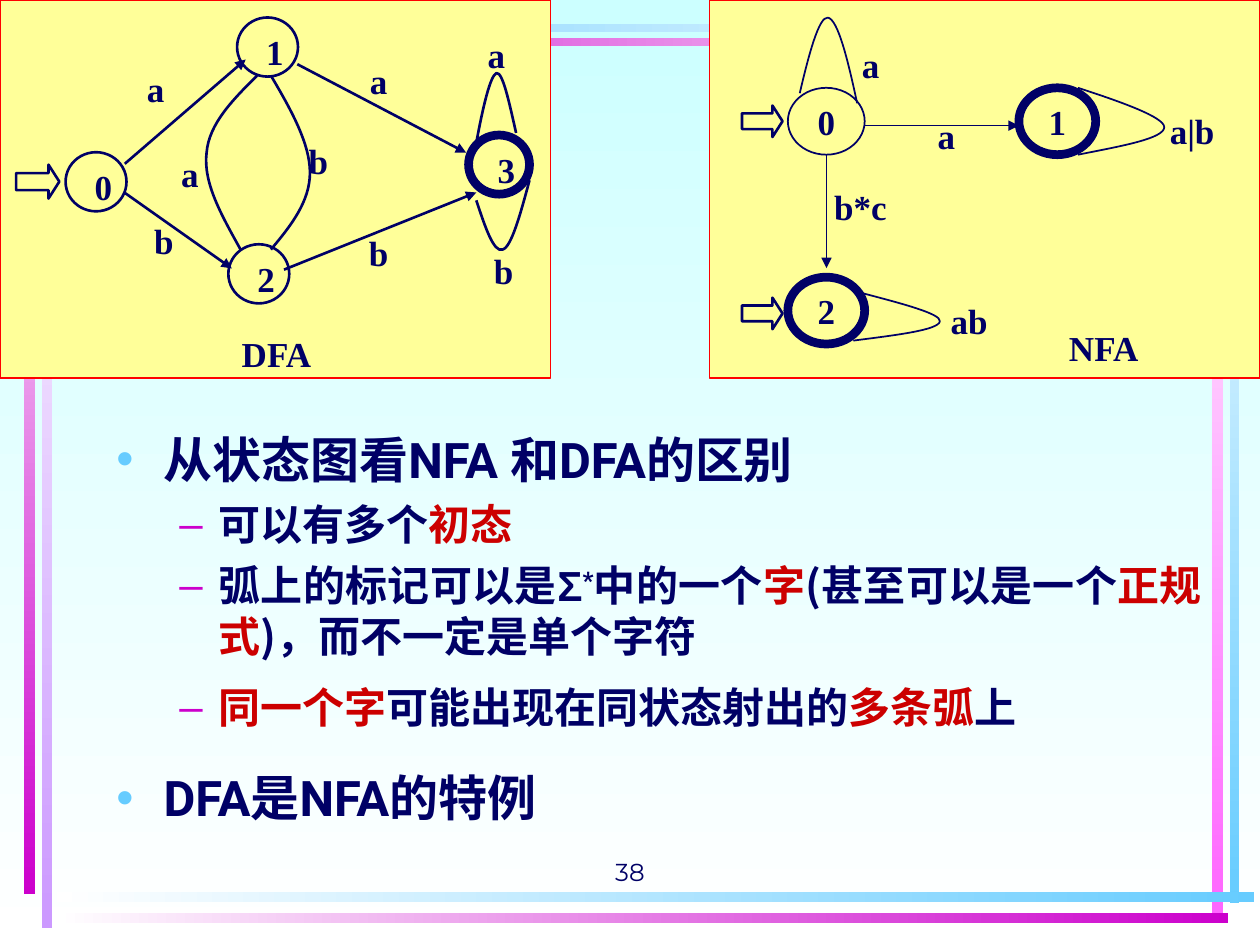
from dataclasses import dataclass

from lxml import etree
from pptx import Presentation
from pptx import util as u
from pptx.dml.color import RGBColor
from pptx.enum import shapes as s
from pptx.enum import text as t
from pptx.oxml.ns import qn

COLORS = {"ink": "000066", "red": "CC0000", "panel": "FFFF99", "border": "FF0000",
          "sky": "66CCFF", "purple": "CC00CC", "lilac": "CC99FF", "pink": "FF66FF",
          "mist": "CCFFFF", "white": "FFFFFF"}
CJK, LATIN, SERIF, SANS = "Noto Sans CJK SC", "Roboto", "Times New Roman", "Arial"
Point = tuple[float, float]


@dataclass
class Bar:
    box: tuple[float, float, float, float]
    start: str
    end: str
    angle: int


@dataclass
class Node:
    name: str
    x: float
    y: float
    final: bool = False


@dataclass
class Label:
    name: str
    x: float
    y: float
    width: float
    height: float


@dataclass
class Diagram:
    left: float
    node_size: Point
    node_inset: Point
    centered: bool
    line_width: float
    nodes: list[Node]
    arrows: list[tuple[Point, Point]]
    curves: list[list[Point]]  # start, then three points for each cubic piece
    labels: list[Label]
    entries: list[tuple[float, float, float, float]]


@dataclass
class Piece:
    words: str
    font: str = CJK
    color: str = "ink"
    raised: bool = False


@dataclass
class Item:
    pieces: list[Piece]
    level: int = 0
    before: float = 7
    spacing: float | None = None


BARS = [
    Bar((24, 20.2, 5.8, 510), "white", "lilac", 270),
    Bar((13.8, 18, 6, 492.7), "white", "purple", 270),
    Bar((702.9, 17.3, 5, 498.5), "white", "sky", 270),
    Bar((692.6, 30.2, 6.2, 491.8), "white", "pink", 270),
    Bar((32.4, 509.8, 684, 5.8), "white", "sky", 0),
    Bar((32.4, 521.8, 669.6, 5.8), "white", "purple", 0),
    Bar((23, 22, 671, 4.3), "purple", "white", 0),
    Bar((6.1, 13.6, 688.3, 5), "sky", "white", 0),
]

DFA = Diagram(
    left=0, node_size=(34.8, 33.8), node_inset=(11.5, 2.7), centered=False, line_width=1.5,
    nodes=[Node("0", 37.5, 87), Node("3", 267.8, 77.2, True),
           Node("1", 135.5, 10), Node("2", 130.5, 139.6)],
    arrows=[((71.3, 93.6), (140.4, 34)), ((169.9, 36.7), (266.4, 87.3)),
            ((71.3, 110.2), (132.5, 153.4)), ((162.3, 154.1), (272.2, 110)),],
    curves=[
        [(146.9, 43.2), (133.2, 56.9), (119.5, 70.6), (118.1, 87.1),
         (115.9, 104.4), (126.7, 123.1), (137.5, 142.6)],
        [(154.8, 43.2), (166.3, 62.6), (177.1, 82.1), (177.1, 98.6),
         (177.1, 115.2), (166.3, 128.9), (154.8, 142.6)],
        [(294.9, 76), (290.9, 58.3), (287.3, 41), (283.7, 41.8),
         (280.1, 43.2), (275.8, 61.9), (272.2, 81.4)],
        [(302.6, 103), (297.4, 122.4), (292.3, 141.1), (287.3, 142.6),
         (282.2, 144.7), (277.2, 129.6), (272.2, 114.5)],
    ],
    labels=[Label(name, x, y, 34.6, 24) for name, x, y in (
        ("a", 71.6, 38.7), ("a", 91.2, 87.1), ("a", 199.1, 33.8), ("a", 266.3, 19.2),
        ("b", 164.7, 79.5), ("b", 76.4, 125.2), ("b", 270.5, 142.5), ("b", 199.1, 132.5))]
    + [Label("DFA", 89.6, 182.9, 136.8, 38.2)],
    entries=[(9.2, 94.1, 24.7, 19.4)],
)

NFA = Diagram(
    left=405.4, node_size=(43.9, 38.2), node_inset=(7.2, 3.6), centered=True, line_width=1,
    nodes=[Node("0", 450.2, 50.2), Node("2", 450.2, 158.4, True), Node("1", 582.2, 50.2, True)],
    arrows=[((493.9, 71.8), (582.2, 71.8)), ((472.3, 88.4), (472.3, 153.2))],
    curves=[
        [(489.8, 59), (484.6, 34.6), (478.8, 10.8), (473, 10.1),
         (468, 9.4), (462.2, 31), (457, 53.3)],
        [(487.6, 194.6), (511.9, 191.5), (536.4, 188.6), (537.1, 183.6),
         (537.8, 179.3), (515.5, 173.5), (493.2, 167.6)],
        [(616, 88.4), (640.8, 83.5), (665.3, 79.2), (665.3, 72.7),
         (665.3, 67), (640.8, 58.3), (616, 50.2)],
    ],
    labels=[Label(name, x, y, 60.5, 38.2) for name, x, y in (
        ("a", 467.2, 17.6), ("a", 510.6, 58.3), ("a|b", 651, 55.4),
        ("b*c", 461.4, 99), ("ab", 523.6, 164.2))]
    + [Label("NFA", 603, 182.6, 55.4, 31.7)],
    entries=[(424, y, 23.2, 18) for y in (60.3, 170.1)],
)

ITEMS = [
    Item([Piece("从状态图看"), Piece("NFA ", LATIN), Piece("和"), Piece("DFA", LATIN),
          Piece("的区别")], before=0),
    Item([Piece("可以有多个"), Piece("初态", color="red")], 1, 6),
    Item([Piece("弧上的标记可以是"), Piece("Σ", SANS), Piece("*", LATIN, raised=True),
          Piece("中的一个"), Piece("字", color="red"), Piece("(甚至可以是一个"),
          Piece("正规式", color="red"), Piece(")，而不一定是单个字符")], 1, 6),
    Item([Piece("同一个字", color="red"), Piece("可能出现在同状态射出的"),
          Piece("多条弧", color="red"), Piece("上")], 1, 12),
    Item([Piece("DFA", LATIN), Piece("是"), Piece("NFA", LATIN), Piece("的特例")], spacing=1.4),
]


def rgb(name: str) -> RGBColor:
    return RGBColor.from_string(COLORS[name])


def pts(*lengths: float) -> list[u.Length]:
    return [u.Pt(length) for length in lengths]


def set_gradient(fill, start: str, end: str, angle: int) -> None:
    fill.gradient()
    fill.gradient_angle = angle
    for stop, name in zip(fill.gradient_stops, (start, end)):
        stop.color.rgb = rgb(name)


def set_outline(shape, width: float, color: str = "ink"):
    """Leave the shape unfilled, with a coloured line and no shadow."""
    shape.shadow.inherit = False
    shape.fill.background()
    shape.line.color.rgb, shape.line.width = rgb(color), u.Pt(width)
    return shape


def write_line(frame, words: str, font: str, size: float, bold: bool, align) -> None:
    line = frame.paragraphs[0]
    line.text, line.alignment = words, align
    line.font.name, line.font.size, line.font.bold = font, u.Pt(size), bold
    line.font.color.rgb = rgb("ink")


def add_bar(slide, bar: Bar) -> None:
    strip = slide.shapes.add_shape(s.MSO_SHAPE.RECTANGLE, *pts(*bar.box))
    strip.shadow.inherit = False
    strip.line.fill.background()
    set_gradient(strip.fill, bar.start, bar.end, bar.angle)


def add_node(slide, node: Node, diagram: Diagram) -> None:
    state = slide.shapes.add_shape(s.MSO_SHAPE.OVAL, *pts(node.x, node.y, *diagram.node_size))
    set_outline(state, 5 if node.final else diagram.line_width)
    frame = state.text_frame
    frame.margin_left, frame.margin_top = pts(*diagram.node_inset)
    if diagram.centered:
        frame.margin_right, frame.margin_bottom = pts(*diagram.node_inset)
        frame.word_wrap, frame.vertical_anchor = False, t.MSO_ANCHOR.MIDDLE
        align = t.PP_ALIGN.CENTER
    else:
        frame.margin_right = frame.margin_bottom = 0
        frame.word_wrap, frame.vertical_anchor = True, t.MSO_ANCHOR.TOP
        align = t.PP_ALIGN.JUSTIFY
    write_line(frame, node.name, SERIF, 20, True, align)


def add_arrow(slide, start: Point, end: Point, width: float) -> None:
    arrow = slide.shapes.add_connector(s.MSO_CONNECTOR.STRAIGHT, *pts(*start, *end))
    arrow.line.color.rgb, arrow.line.width = rgb("ink"), u.Pt(width)
    etree.SubElement(arrow.line._get_or_add_ln(), qn("a:tailEnd"), type="triangle")
    etree.SubElement(arrow._element.spPr, qn("a:effectLst"))


def add_curve(slide, knots: list[Point], width: float) -> None:
    """Build a freeform through the knots, then join each three segments into a cubic."""
    builder = slide.shapes.build_freeform(*pts(*knots[0]))
    builder.add_line_segments([pts(*knot) for knot in knots[1:]], close=False)
    arc = set_outline(builder.convert_to_shape(), width)
    segments = list(arc._element.iter(qn("a:lnTo")))
    outline = segments[0].getparent()
    for i in range(0, len(segments), 3):
        cubic = etree.SubElement(outline, qn("a:cubicBezTo"))
        for segment in segments[i:i + 3]:
            cubic.append(segment[0])
            outline.remove(segment)


def add_label(slide, label: Label) -> None:
    box = slide.shapes.add_textbox(*pts(label.x, label.y, label.width, label.height))
    box.text_frame.word_wrap = False
    box.text_frame.vertical_anchor = t.MSO_ANCHOR.MIDDLE
    write_line(box.text_frame, label.name, SERIF, 20, True, t.PP_ALIGN.CENTER)


def add_diagram(slide, diagram: Diagram) -> None:
    panel = slide.shapes.add_shape(s.MSO_SHAPE.RECTANGLE, *pts(diagram.left, 0, 314.6, 216))
    set_outline(panel, 1, "border")
    panel.fill.solid()
    panel.fill.fore_color.rgb = rgb("panel")
    for node in diagram.nodes:
        add_node(slide, node, diagram)
    for start, end in diagram.arrows:
        add_arrow(slide, start, end, diagram.line_width)
    for knots in diagram.curves:
        add_curve(slide, knots, diagram.line_width)
    for label in diagram.labels:
        add_label(slide, label)
    for box in diagram.entries:
        entry = set_outline(slide.shapes.add_shape(s.MSO_SHAPE.RIGHT_ARROW, *pts(*box)), 1.5)
        entry.adjustments[1] = 0.32


def write_item(line, item: Item) -> None:
    indent, hanging, bullet, color, size = (
        (58.5, 22.5, "–", "purple", 24) if item.level else (27, 27, "•", "sky", 28))
    line.level, line.alignment = item.level, t.PP_ALIGN.JUSTIFY
    line.space_before, line.line_spacing = u.Pt(item.before), item.spacing
    props = line._p.get_or_add_pPr()
    props.set("marL", str(u.Pt(indent)))
    props.set("indent", str(-u.Pt(hanging)))
    tint = etree.SubElement(props, qn("a:buClr"))
    etree.SubElement(tint, qn("a:srgbClr"), val=COLORS[color])
    etree.SubElement(props, qn("a:buFont"), typeface=SANS)
    etree.SubElement(props, qn("a:buChar"), char=bullet)
    line.font.size, line.font.bold = u.Pt(size), True
    for piece in item.pieces:
        run = line.add_run()
        run.text, run.font.name = piece.words, piece.font
        run.font.color.rgb = rgb(piece.color)
        run_props = run._r.get_or_add_rPr()
        if piece.font == CJK:
            etree.SubElement(run_props, qn("a:ea"), typeface=CJK)
        if piece.raised:
            run_props.set("baseline", "30000")


def main() -> None:
    deck = Presentation()
    deck.slide_width, deck.slide_height = pts(720, 540)
    slide = deck.slides.add_slide(deck.slide_layouts[6])
    set_gradient(slide.background.fill, "mist", "white", 270)
    for bar in BARS:
        add_bar(slide, bar)

    number = slide.shapes.add_textbox(*pts(246, 473.8, 228, 36)).text_frame
    number.word_wrap, number.vertical_anchor = True, t.MSO_ANCHOR.BOTTOM
    write_line(number, "38", "Montserrat", 14, False, t.PP_ALIGN.CENTER)

    body = slide.shapes.add_textbox(*pts(59.4, 241.9, 634.5, 238.3)).text_frame
    body.word_wrap = True
    for i, item in enumerate(ITEMS):
        write_item(body.add_paragraph() if i else body.paragraphs[0], item)

    for diagram in (DFA, NFA):
        add_diagram(slide, diagram)
    deck.save("out.pptx")


if __name__ == "__main__":
    main()
